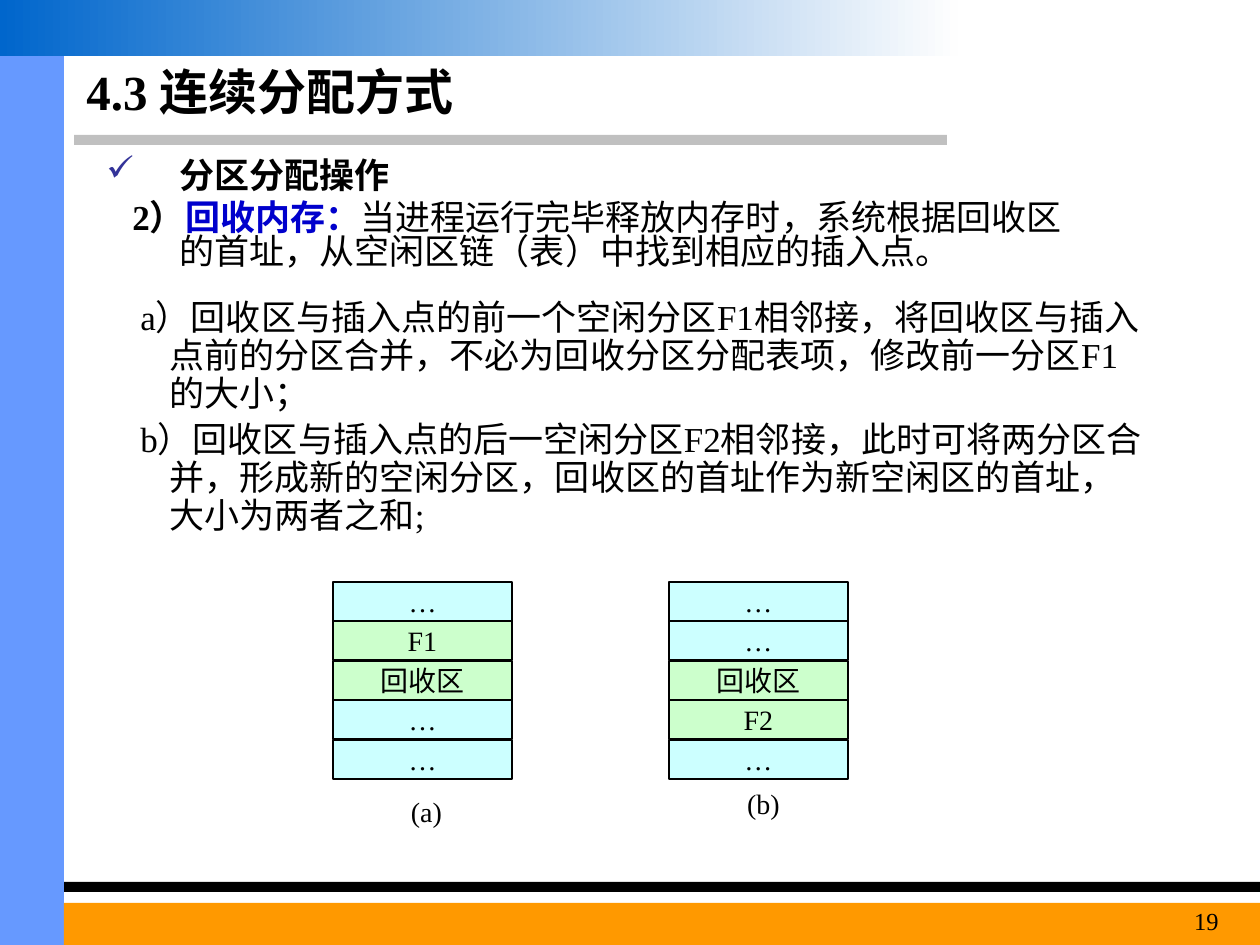
from lxml.etree import SubElement
from pptx import Presentation
from pptx.dml.color import RGBColor
from pptx.enum.shapes import MSO_SHAPE
from pptx.enum.text import MSO_ANCHOR, PP_ALIGN
from pptx.oxml.ns import qn
from pptx.util import Emu, Pt

PX_PER_INCH = 126
FONT = "Times New Roman"
COLORS = {
    "black": "000000", "rule": "C0C0C0", "side": "6699FF", "footer": "FF9900",
    "banner_start": "0066CC", "banner_end": "FEFEFE",
    "term": "0000CC", "tick": "333399", "other": "CCFFFF", "merged": "CCFFCC",
}
ROW_PITCH = 39.4


def px(length):
    return Emu(round(length * 914400 / PX_PER_INCH))


def rgb(name):
    return RGBColor.from_string(COLORS[name])


def add_bar(slide, left, top, width, height, color):
    bar = slide.shapes.add_shape(
        MSO_SHAPE.RECTANGLE, px(left), px(top), px(width), px(height))
    bar.shadow.inherit = False
    bar.fill.solid()
    bar.fill.fore_color.rgb = rgb(color)
    bar.line.fill.background()
    return bar


def add_banner(slide):
    banner = add_bar(slide, 0, 0, 958, 56, "banner_start")
    banner.fill.gradient()
    banner.fill.gradient_angle = 0
    for stop, color in zip(banner.fill.gradient_stops, ("banner_start", "banner_end")):
        stop.color.rgb = rgb(color)


def add_box(slide, left, top, width, height, anchor=MSO_ANCHOR.TOP):
    frame = slide.shapes.add_textbox(
        px(left), px(top), px(width), px(height)).text_frame
    frame.word_wrap = True
    frame.vertical_anchor = anchor
    return frame


def write(frame, text, size=20, bold=False, color="black", align=PP_ALIGN.LEFT,
          margin=0, indent=0, spacing=None, before=0, bullet=None, join=False):
    """Write text in a new paragraph, or at the end of the last one if join."""
    paragraph = frame.paragraphs[-1]
    if not join:
        if paragraph.runs:
            paragraph = frame.add_paragraph()
        properties = paragraph._p.get_or_add_pPr()
        properties.set("marL", str(px(margin)))
        properties.set("indent", str(px(indent)))
        if bullet:
            bullet_color = SubElement(properties, qn("a:buClr"))
            SubElement(bullet_color, qn("a:srgbClr"), val=COLORS["tick"])
            SubElement(properties, qn("a:buChar"), char=bullet)
        paragraph.alignment = align
        paragraph.line_spacing = spacing
        paragraph.space_before = Pt(before)
    run = paragraph.add_run()
    run.text = text
    run.font.name = FONT
    run.font.size = Pt(size)
    run.font.bold = bold
    run.font.color.rgb = rgb(color)


def add_memory(slide, left, rows, merged, caption, caption_left, caption_top):
    for index, label in enumerate(rows):
        color = "merged" if index in merged else "other"
        partition = add_bar(slide, left, round(582 + index * ROW_PITCH), 179, 39, color)
        partition.line.color.rgb = rgb("black")
        partition.line.width = Pt(0.75)
        frame = partition.text_frame
        frame.word_wrap = False
        frame.vertical_anchor = MSO_ANCHOR.MIDDLE
        write(frame, label, size=16, align=PP_ALIGN.CENTER)
    write(add_box(slide, caption_left, caption_top, 69, 47), caption,
          size=16, align=PP_ALIGN.CENTER)


def main():
    presentation = Presentation()
    presentation.slide_width, presentation.slide_height = px(1260), px(945)
    slide = presentation.slides.add_slide(presentation.slide_layouts[6])

    # Page frame
    add_bar(slide, 74, 135, 873, 10, "rule")
    add_bar(slide, 0, 882, 1260, 10, "black")
    add_bar(slide, 0, 56, 64, 889, "side")
    add_bar(slide, 64, 903, 1196, 42, "footer")
    add_banner(slide)

    # Title
    title = add_box(slide, 74, 56, 863, 69, MSO_ANCHOR.MIDDLE)
    write(title, "4.3 连续分配方式", size=28, bold=True)

    # Reclaiming memory
    operation = add_box(slide, 94, 155, 992, 129)
    write(operation, "分区分配操作", bold=True, margin=73, indent=-73,
          spacing=0.8, bullet="✓")
    write(operation, "2）", bold=True, margin=73, indent=-47, spacing=0.8, before=5)
    write(operation, "回收内存：", bold=True, color="term", join=True)
    write(operation, "当进程运行完毕释放内存时，系统根据回收区的首址，"
          "从空闲区链（表）中找到相应的插入点。", join=True)

    # Two merge cases
    cases = add_box(slide, 84, 294, 1072, 267)
    write(cases, "a）回收区与插入点的前一个空闲分区F1相邻接，将回收区与插入点前的分区合并，"
          "不必为回收分区分配表项，修改前一分区F1的大小；",
          margin=73, indent=-29, spacing=0.9)
    write(cases, "b）回收区与插入点的后一空闲分区F2相邻接，此时可将两分区合并，"
          "形成新的空闲分区，回收区的首址作为新空闲区的首址，大小为两者之和;",
          margin=73, indent=-29, spacing=0.9, before=5)

    # Memory diagrams
    add_memory(slide, 333, ["…", "F1", "回收区", "…", "…"], (1, 2), "(a)", 392, 788)
    add_memory(slide, 669, ["…", "…", "回收区", "F2", "…"], (2, 3), "(b)", 729, 780)

    # Page number
    write(add_box(slide, 1116, 900, 115, 45), "19", size=14, align=PP_ALIGN.RIGHT)

    presentation.save("out.pptx")


if __name__ == "__main__":
    main()
